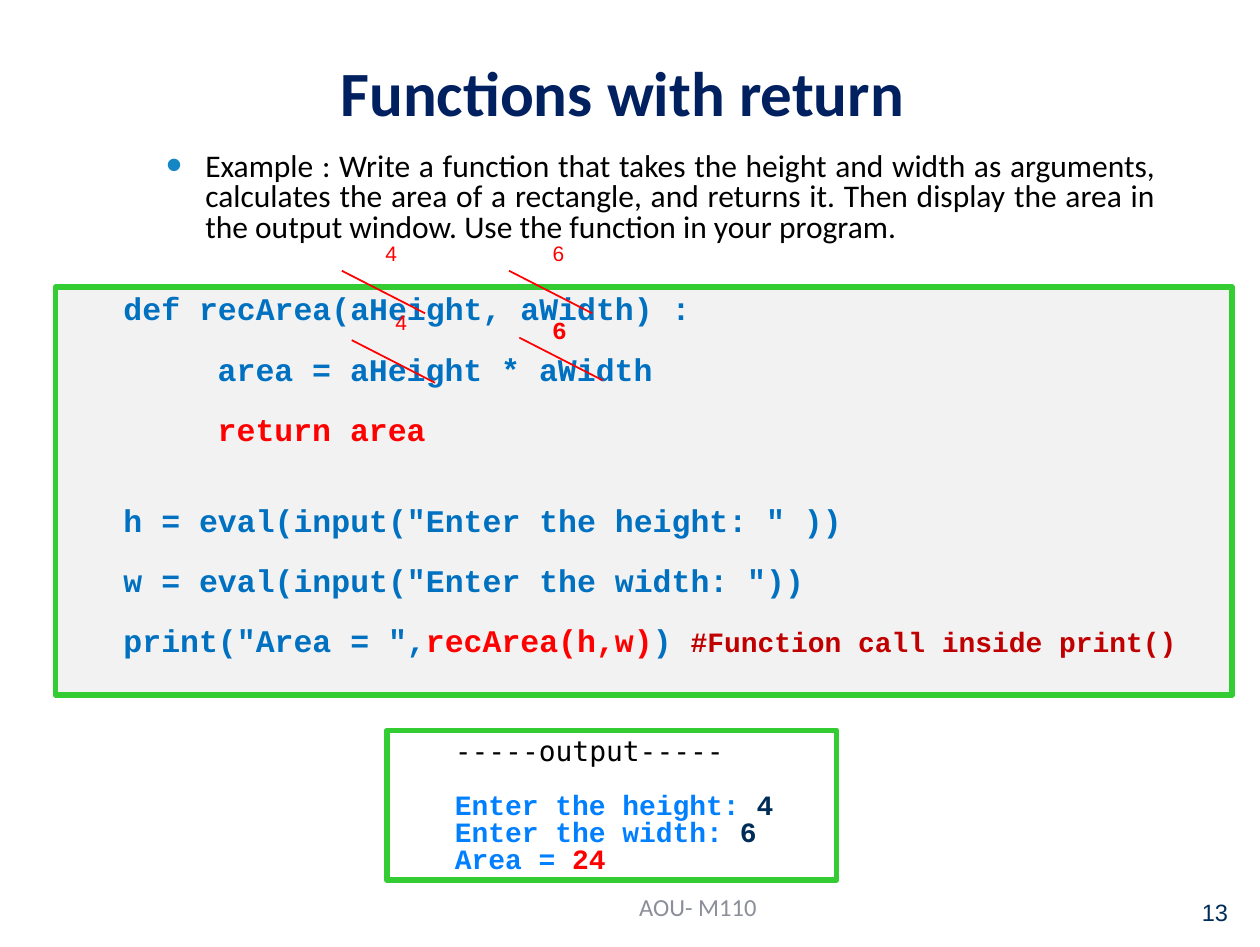
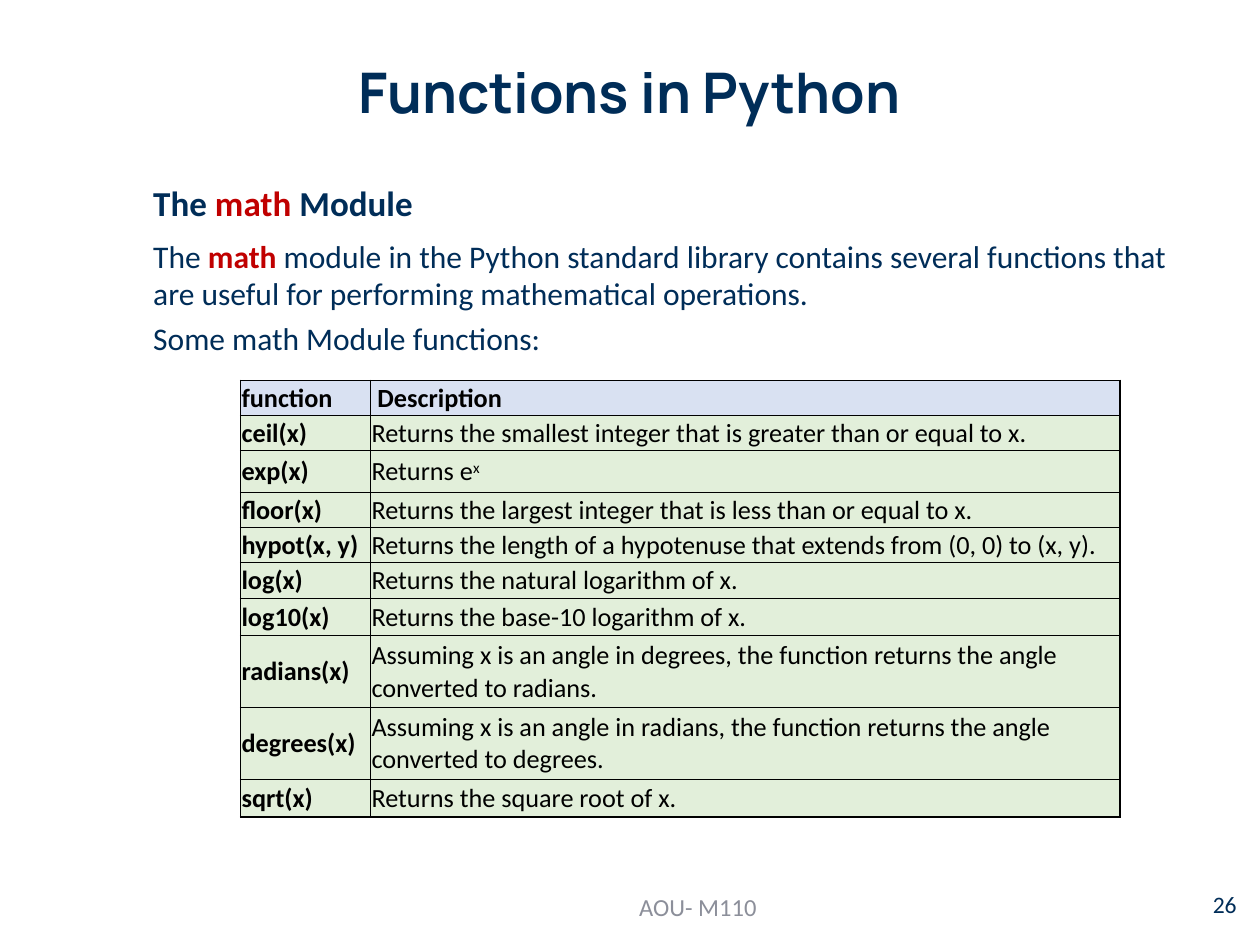
from collections import namedtuple

from lxml import etree
from pptx import Presentation
from pptx.dml.color import RGBColor
from pptx.enum.shapes import MSO_CONNECTOR, MSO_SHAPE
from pptx.enum.text import MSO_ANCHOR, MSO_AUTO_SIZE, PP_ALIGN
from pptx.oxml.ns import qn
from pptx.util import Cm, Pt

CENTER, JUSTIFY, LEFT = PP_ALIGN.CENTER, PP_ALIGN.JUSTIFY, PP_ALIGN.LEFT
TOP, MIDDLE = MSO_ANCHOR.TOP, MSO_ANCHOR.MIDDLE
NO_AUTOFIT = MSO_AUTO_SIZE.NONE
RECTANGLE, STRAIGHT = MSO_SHAPE.RECTANGLE, MSO_CONNECTOR.STRAIGHT

BLACK = RGBColor(0x00, 0x00, 0x00)
NAVY = RGBColor(0x00, 0x2D, 0x58)
TITLE_BLUE = RGBColor(0x00, 0x20, 0x60)
CODE_BLUE = RGBColor(0x00, 0x70, 0xC0)
PROMPT_BLUE = RGBColor(0x00, 0x80, 0xFF)
BULLET_BLUE = RGBColor(0x12, 0x87, 0xC3)
RED = RGBColor(0xFF, 0x00, 0x00)
DARK_RED = RGBColor(0xC0, 0x00, 0x00)
GREEN = RGBColor(0x33, 0xCC, 0x33)
GREY = RGBColor(0x8C, 0x8F, 0x9A)
CODE_FILL = RGBColor(0xF2, 0xF2, 0xF2)
HEADER_FILL = RGBColor(0xD9, 0xE1, 0xF2)
ROW_FILL = RGBColor(0xE2, 0xEF, 0xDA)

BODY_FONT, CODE_FONT = "Calibri", "Courier New"
CODE_INDENT = 1.12
BLOCK_INDENT = 1.9

Box = namedtuple("Box", "left top width height")
FOOTER = Box(10.26, 17.78, 7.62, 1.02)

CODE_LINES = [
    (0, 0, ["def recArea(aHeight, aWidth) :"]),
    (1, 1, ["area = aHeight * aWidth"]),
    (1, 1, [("return area", {"color": RED})]),
    (0, 2, ['h = eval(input("Enter the height: " ))']),
    (0, 1, ['w = eval(input("Enter the width: "))']),
    (0, 1, ['print("Area = ",', ("recArea(h,w)", {"color": RED}), ") ",
            ("#Function call inside print()", {"size": 16, "color": DARK_RED})]),
]
OUTPUT_LINES = [
    (0, 0, [("-----output-----",
             {"font": "DejaVu Sans Mono", "color": BLACK, "bold": False})]),
    (0, 1, ["Enter the height: ", ("4", {"color": NAVY})]),
    (0, 0, ["Enter the width: ", ("6", {"color": NAVY})]),
    (0, 0, ["Area = ", ("24", {"color": RED})]),
]
SMALL_VALUE = {"size": 12, "font": "Arial"}
BOLD_VALUE = {"size": 14, "font": CODE_FONT, "bold": True}
ARGUMENT_MARKS = [
    (5.77, -0.33, "4", 0.63, -0.74, SMALL_VALUE),
    (9.14, -0.33, "6", 0.63, -0.74, SMALL_VALUE),
    (5.97, 1.07, "4", 0.63, -0.74, SMALL_VALUE),
    (9.35, 1.02, "6", 0.41, -0.58, BOLD_VALUE),
]
MATH_FUNCTIONS = [
    (0.71, "function", [" Description"]),
    (0.71, "ceil(x)",
     ["Returns the smallest integer that is greater than or equal to x."]),
    (0.84, "exp(x)", ["Returns e", ("x", {"raised": True})]),
    (0.71, "floor(x)",
     ["Returns the largest integer that is less than or equal to x."]),
    (0.71, "hypot(x, y)",
     ["Returns the length of a hypotenuse that extends from (0, 0) to (x, y)."]),
    (0.71, "log(x)", ["Returns the natural logarithm of x."]),
    (0.76, "log10(x)", ["Returns the base-10 logarithm of x."]),
    (1.45, "radians(x)",
     ["Assuming x is an angle in degrees, the function returns the angle "
      "converted to radians."]),
    (1.45, "degrees(x)",
     ["Assuming x is an angle in radians, the function returns the angle "
      "converted to degrees."]),
    (0.76, "sqrt(x)", ["Returns the square root of x."]),
]


def in_cm(box):
    return [Cm(length) for length in box]


def add_run(paragraph, text, size=18, font=BODY_FONT, color=NAVY, bold=False,
            raised=False):
    run = paragraph.add_run()
    run.text = text
    run.font.size = Pt(size)
    run.font.name = font
    run.font.color.rgb = color
    run.font.bold = bold
    if raised:
        run.font._element.set("baseline", "30000")


def write_text(frame, lines, align=LEFT, anchor=TOP, spacing=None, **style):
    frame.word_wrap = True
    frame.vertical_anchor = anchor
    for number, pieces in enumerate(lines):
        paragraph = frame.add_paragraph() if number else frame.paragraphs[0]
        paragraph.alignment = align
        if spacing:
            paragraph.line_spacing = spacing
        for piece in pieces:
            text, changes = (piece, {}) if isinstance(piece, str) else piece
            add_run(paragraph, text, **{**style, **changes})


def add_text(slide, box, pieces, **style):
    frame = slide.shapes.add_textbox(*in_cm(box)).text_frame
    write_text(frame, [pieces], **style)
    return frame


def set_indent(paragraph, left, first=0):
    properties = paragraph._p.get_or_add_pPr()
    properties.set("marL", str(Cm(left)))
    properties.set("indent", str(Cm(first)))
    return properties


def add_bullet(paragraph):
    properties = set_indent(paragraph, 0.79, -0.79)
    color = etree.SubElement(properties, qn("a:buClr"))
    etree.SubElement(color, qn("a:srgbClr"), val=str(BULLET_BLUE))
    etree.SubElement(properties, qn("a:buSzPct"), val="145000")
    etree.SubElement(properties, qn("a:buFont"), typeface="Arial")
    etree.SubElement(properties, qn("a:buChar"), char="•")


def add_page(deck, title, title_box, number, number_box, number_font,
             **title_style):
    slide = deck.slides.add_slide(deck.slide_layouts[5])
    heading = slide.shapes.title
    heading.left, heading.top, heading.width, heading.height = in_cm(title_box)
    heading.text_frame.auto_size = NO_AUTOFIT
    write_text(heading.text_frame, [[title]], align=CENTER, anchor=MIDDLE,
               bold=True, **title_style)
    add_text(slide, FOOTER, ["AOU- M110"], align=CENTER, anchor=MIDDLE,
             size=14, color=GREY)
    add_text(slide, number_box, [number], size=13.5, font=number_font)
    return slide


def add_listing(slide, box, lines, leading, fill=None, **style):
    panel = slide.shapes.add_shape(RECTANGLE, *in_cm(box))
    panel.shadow.inherit = False
    if fill is None:
        panel.fill.background()
    else:
        panel.fill.solid()
        panel.fill.fore_color.rgb = fill
    panel.line.color.rgb = GREEN
    panel.line.width = Pt(3)
    frame = panel.text_frame
    frame.margin_top = Cm(0.2)
    write_text(frame, [pieces for _, _, pieces in lines], align=JUSTIFY,
               spacing=Pt(leading), font=CODE_FONT, bold=True, **style)
    for paragraph, (depth, gap, _) in zip(frame.paragraphs, lines):
        set_indent(paragraph, CODE_INDENT + depth * BLOCK_INDENT)
        paragraph.space_before = Pt(gap * leading)


def add_argument_marks(slide, box):
    for dx, dy, value, label_dx, label_dy, style in ARGUMENT_MARKS:
        left, top = box.left + dx, box.top + dy
        strike = slide.shapes.add_connector(
            STRAIGHT, Cm(left), Cm(top), Cm(left + 1.68), Cm(top + 0.86))
        strike.line.color.rgb = RED
        strike.line.width = Pt(1)
        etree.SubElement(strike._element.spPr, qn("a:effectLst"))
        add_text(slide, Box(left + label_dx, top + label_dy, 4.2, 0.77),
                 [value], color=RED, **style)


def set_borders(cell, **widths):
    properties = cell._tc.get_or_add_tcPr()
    for side in "LRTB":
        line = etree.SubElement(properties, qn("a:ln" + side),
                                w=str(Pt(widths[side])))
        fill = etree.SubElement(line, qn("a:solidFill"))
        etree.SubElement(fill, qn("a:srgbClr"), val=str(BLACK))


def add_function_table(slide, box):
    last = len(MATH_FUNCTIONS) - 1
    table = slide.shapes.add_table(last + 1, 2, *in_cm(box)).table
    table.columns[0].width = Cm(2.62)
    table.columns[1].width = Cm(box.width - 2.62)
    for row, (height, name, description) in enumerate(MATH_FUNCTIONS):
        table.rows[row].height = Cm(height)
        for column, pieces in enumerate(([name], description)):
            cell = table.cell(row, column)
            set_borders(cell, L=0.5 if column else 1, R=1 if column else 0.5,
                        T=0.5 if row else 1, B=1 if row == last else 0.5)
            cell.fill.solid()
            cell.fill.fore_color.rgb = ROW_FILL if row else HEADER_FILL
            cell.margin_left = cell.margin_right = cell.margin_top = Cm(0.02)
            cell.margin_bottom = 0
            cell.vertical_anchor = MIDDLE
            write_text(cell.text_frame, [pieces], size=15, color=BLACK,
                       bold=row == 0 or column == 0)


def build_return_slide(deck):
    slide = add_page(deck, "Functions with return", Box(1.12, 0.84, 22.86, 2.01),
                     "13", Box(23.98, 17.98, 1.42, 1.02), "Arial",
                     size=36, color=TITLE_BLUE)
    task = add_text(
        slide, Box(3.1, 2.97, 20.45, 2.11),
        ["Example : Write a function that takes the height and width as "
         "arguments, calculates the area of a rectangle, and returns it. Then "
         "display the area in the output window. Use the function in your "
         "program."],
        align=JUSTIFY, spacing=0.8, color=BLACK)
    add_bullet(task.paragraphs[0])
    add_listing(slide, Box(7.8, 14.73, 9.07, 3.02), OUTPUT_LINES, 15.4,
                size=16, color=PROMPT_BLUE)
    code_box = Box(1.12, 5.79, 23.72, 8.23)
    add_listing(slide, code_box, CODE_LINES, 17.25, fill=CODE_FILL,
                size=18, color=CODE_BLUE)
    add_argument_marks(slide, code_box)


def build_math_slide(deck):
    slide = add_page(deck, "Functions in Python", Box(1.75, 1.02, 21.89, 1.8),
                     "26", Box(24.2, 17.83, 1.2, 1.02), BODY_FONT,
                     size=32, font="Manrope", spacing=0.9)
    keyword = ("math", {"color": DARK_RED, "bold": True})
    add_text(slide, Box(2.84, 3.53, 12.7, 1.12), ["The ", keyword, " Module"],
             size=20, bold=True)
    add_text(slide, Box(2.84, 4.65, 21.29, 1.8),
             ["The ", keyword,
              " module in the Python standard library contains several "
              "functions that are useful for performing mathematical operations."])
    add_text(slide, Box(2.84, 6.32, 8.71, 1.02), ["Some math Module functions:"])
    add_function_table(slide, Box(4.85, 7.67, 17.73, 8.81))


def main():
    deck = Presentation()
    deck.slide_width, deck.slide_height = Cm(25.4), Cm(19.1)
    build_return_slide(deck)
    build_math_slide(deck)
    deck.save("out.pptx")


if __name__ == "__main__":
    main()
